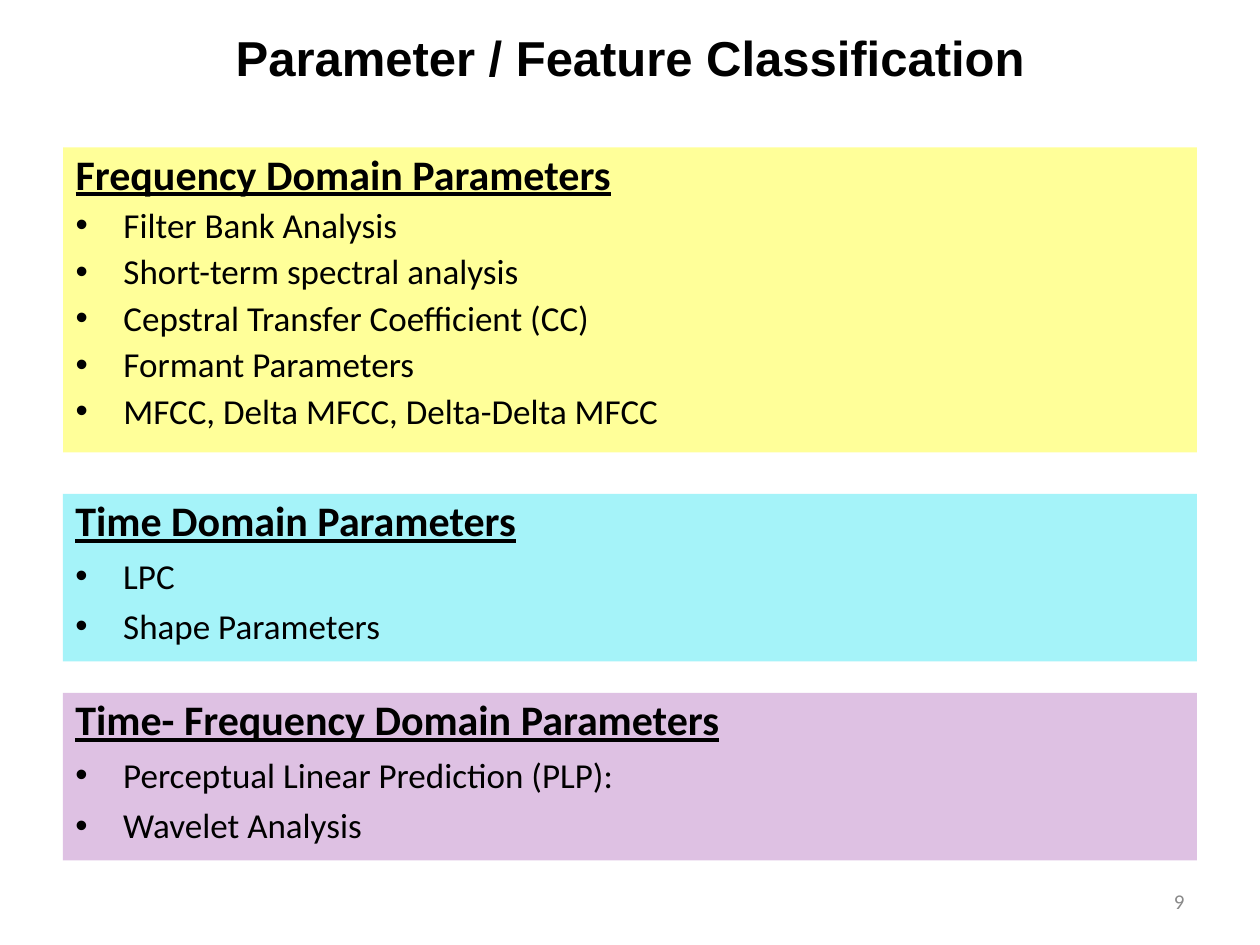
from lxml.etree import SubElement
from pptx import Presentation
from pptx.dml.color import RGBColor
from pptx.enum.text import MSO_ANCHOR, MSO_AUTO_SIZE, PP_ALIGN
from pptx.oxml.ns import qn
from pptx.util import Inches, Pt

BLACK = RGBColor(0x00, 0x00, 0x00)
GRAY = RGBColor(0x89, 0x89, 0x89)
YELLOW = RGBColor(0xFF, 0xFF, 0x99)
CYAN = RGBColor(0xA5, 0xF3, 0xF9)
LILAC = RGBColor(0xDE, 0xC1, 0xE3)

# Content
TITLE = "Parameter / Feature Classification"
PAGE_NUMBER = "9"
# heading, items, fill, top, height, line spacing of the items
PANELS = [
    ("Frequency Domain Parameters",
     ["Filter Bank Analysis", "Short-term spectral analysis",
      "Cepstral Transfer Coefficient (CC)", "Formant Parameters",
      "MFCC, Delta MFCC, Delta-Delta MFCC"],
     YELLOW, 1.17, 2.42, 0.9),
    ("Time Domain Parameters", ["LPC", "Shape Parameters"],
     CYAN, 3.92, 1.33, 1.0),
    ("Time- Frequency Domain Parameters",
     ["Perceptual Linear Prediction (PLP):", "Wavelet Analysis"],
     LILAC, 5.5, 1.33, 1.0),
]
PANEL_LEFT, PANEL_WIDTH = 0.5, 9
INDENT = Inches(0.38)


def place(box, left, top, width, height):
    box.left, box.top = Inches(left), Inches(top)
    box.width, box.height = Inches(width), Inches(height)
    frame = box.text_frame
    frame.word_wrap = True
    frame.auto_size = MSO_AUTO_SIZE.NONE


def style(para, size, name="Calibri", color=BLACK, bold=False, underline=False):
    for span in para.runs:
        font = span.font
        font.size, font.name, font.bold = Pt(size), name, bold
        font.underline = underline
        font.color.rgb = color


def set_bullet(para, bulleted):
    properties = para._p.get_or_add_pPr()
    properties.set("marL", str(INDENT))
    properties.set("indent", str(-INDENT))
    if bulleted:
        SubElement(properties, qn("a:buFont"), typeface="Arial")
        SubElement(properties, qn("a:buChar"), char="•")
    else:
        SubElement(properties, qn("a:buNone"))


def fill_panel(box, heading, items, color, spacing):
    box.fill.solid()
    box.fill.fore_color.rgb = color
    frame = box.text_frame
    frame.vertical_anchor = MSO_ANCHOR.TOP
    frame.text = "\n".join([heading, *items])
    for index, para in enumerate(frame.paragraphs):
        is_item = index > 0
        para.alignment = PP_ALIGN.LEFT
        para.line_spacing = spacing if is_item else 0.9
        para.space_before = Pt(5 if is_item else 15)
        set_bullet(para, is_item)
        style(para, 20 if is_item else 24, bold=not is_item, underline=not is_item)


deck = Presentation()
deck.slide_width, deck.slide_height = Inches(10), Inches(7.5)
page = deck.slides.add_slide(deck.slide_layouts[1])

# Title
title = page.shapes.title
place(title, 0, 0, 10, 0.9)
title.text_frame.text = TITLE
title.text_frame.vertical_anchor = MSO_ANCHOR.MIDDLE
title_para = title.text_frame.paragraphs[0]
title_para.alignment = PP_ALIGN.CENTER
style(title_para, 28, name="Arial", bold=True)

# Panels: the first one is the body placeholder
for number, (heading, items, color, top, height, spacing) in enumerate(PANELS):
    panel = page.placeholders[1] if number == 0 else page.shapes.add_textbox(0, 0, 0, 0)
    place(panel, PANEL_LEFT, top, PANEL_WIDTH, height)
    fill_panel(panel, heading, items, color, spacing)

# Page number
number_box = page.shapes.add_textbox(0, 0, 0, 0)
place(number_box, 7.17, 6.95, 2.33, 0.4)
number_box.text_frame.text = PAGE_NUMBER
number_box.text_frame.vertical_anchor = MSO_ANCHOR.MIDDLE
number_para = number_box.text_frame.paragraphs[0]
number_para.alignment = PP_ALIGN.RIGHT
style(number_para, 12, color=GRAY)

deck.save("out.pptx")
